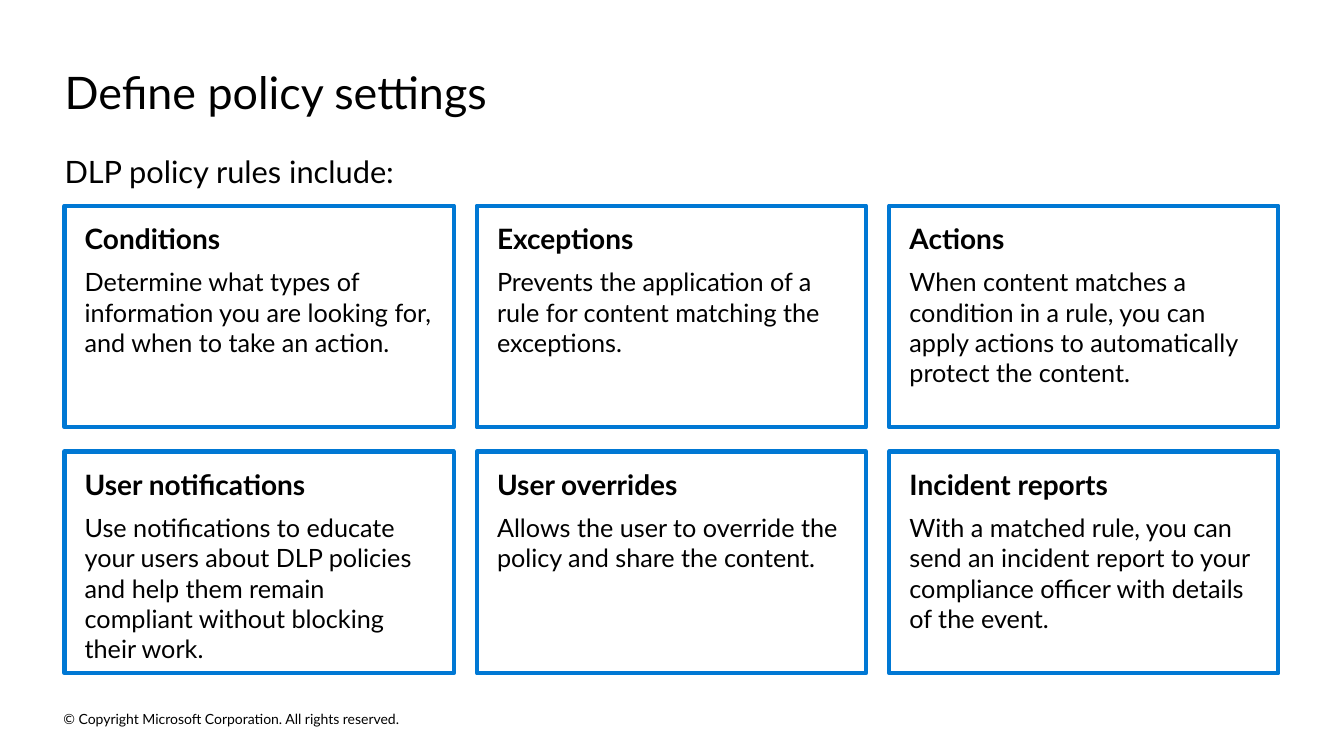
import pptx
import pptx.dml.color
import pptx.enum.shapes
import pptx.enum.text
import pptx.util

PX = 9144  # EMU per px, 100 px to the inch
COLORS = {"text": "000000", "border": "0078D4", "background": "FFFFFF"}
FONT = "Lato"


def rgb(name):
    return pptx.dml.color.RGBColor.from_string(COLORS[name])


def write(paragraph, text, size, bold=False, before=0, after=0):
    paragraph.alignment = pptx.enum.text.PP_ALIGN.LEFT
    paragraph.space_before = pptx.util.Pt(before)
    paragraph.space_after = pptx.util.Pt(after)
    run = paragraph.add_run()
    run.text = text
    run.font.name = FONT
    run.font.size = pptx.util.Pt(size)
    run.font.bold = bold
    run.font.color.rgb = rgb("text")


deck = pptx.Presentation()
deck.slide_width = 1333 * PX
deck.slide_height = 750 * PX
slide = deck.slides.add_slide(deck.slide_layouts[6])
slide.background.fill.solid()
slide.background.fill.fore_color.rgb = rgb("background")

TOP = pptx.enum.text.MSO_ANCHOR.TOP
MIDDLE = pptx.enum.text.MSO_ANCHOR.MIDDLE
lines = [
    ("Define policy settings", 32, TOP, (64, 64, 1204, 54)),
    ("DLP policy rules include:", 22, TOP, (64, 152, 1204, 37)),
    ("© Copyright Microsoft Corporation. All rights reserved.", 10, MIDDLE,
     (63, 702, 454, 22)),
]
for text, size, anchor, box in lines:
    frame = slide.shapes.add_textbox(*(length * PX for length in box)).text_frame
    frame.word_wrap = True
    frame.vertical_anchor = anchor
    frame.margin_left = frame.margin_right = 0
    frame.margin_top = frame.margin_bottom = 0
    write(frame.paragraphs[0], text, size)

rules = [
    ("Conditions",
     "Determine what types of information you are looking for, "
     "and when to take an action."),
    ("Exceptions",
     "Prevents the application of a rule for content matching the exceptions."),
    ("Actions",
     "When content matches a condition in a rule, you can apply actions "
     "to automatically protect the content."),
    ("User notifications",
     "Use notifications to educate your users about DLP policies and help "
     "them remain compliant without blocking their work."),
    ("User overrides",
     "Allows the user to override the policy and share the content."),
    ("Incident reports",
     "With a matched rule, you can send an incident report to your "
     "compliance officer with details of the event."),
]
COLUMNS = 3
LEFT, TOP_ROW = 64, 204
CARD_WIDTH, CARD_HEIGHT = 386, 220
COLUMN_GAP, ROW_GAP = 23, 24
for index, (heading, description) in enumerate(rules):
    row, column = divmod(index, COLUMNS)
    card = slide.shapes.add_shape(
        pptx.enum.shapes.MSO_SHAPE.RECTANGLE,
        (LEFT + column * (CARD_WIDTH + COLUMN_GAP)) * PX,
        (TOP_ROW + row * (CARD_HEIGHT + ROW_GAP)) * PX,
        CARD_WIDTH * PX,
        CARD_HEIGHT * PX,
    )
    card.shadow.inherit = False
    card.fill.background()
    card.line.color.rgb = rgb("border")
    card.line.width = pptx.util.Pt(3)
    frame = card.text_frame
    frame.word_wrap = True
    frame.vertical_anchor = TOP
    frame.margin_left = frame.margin_right = 20 * PX
    frame.margin_top = frame.margin_bottom = 16 * PX
    write(frame.paragraphs[0], heading, 20, bold=True, after=6)
    write(frame.add_paragraph(), description, 18, before=2, after=6)

deck.save("out.pptx")
